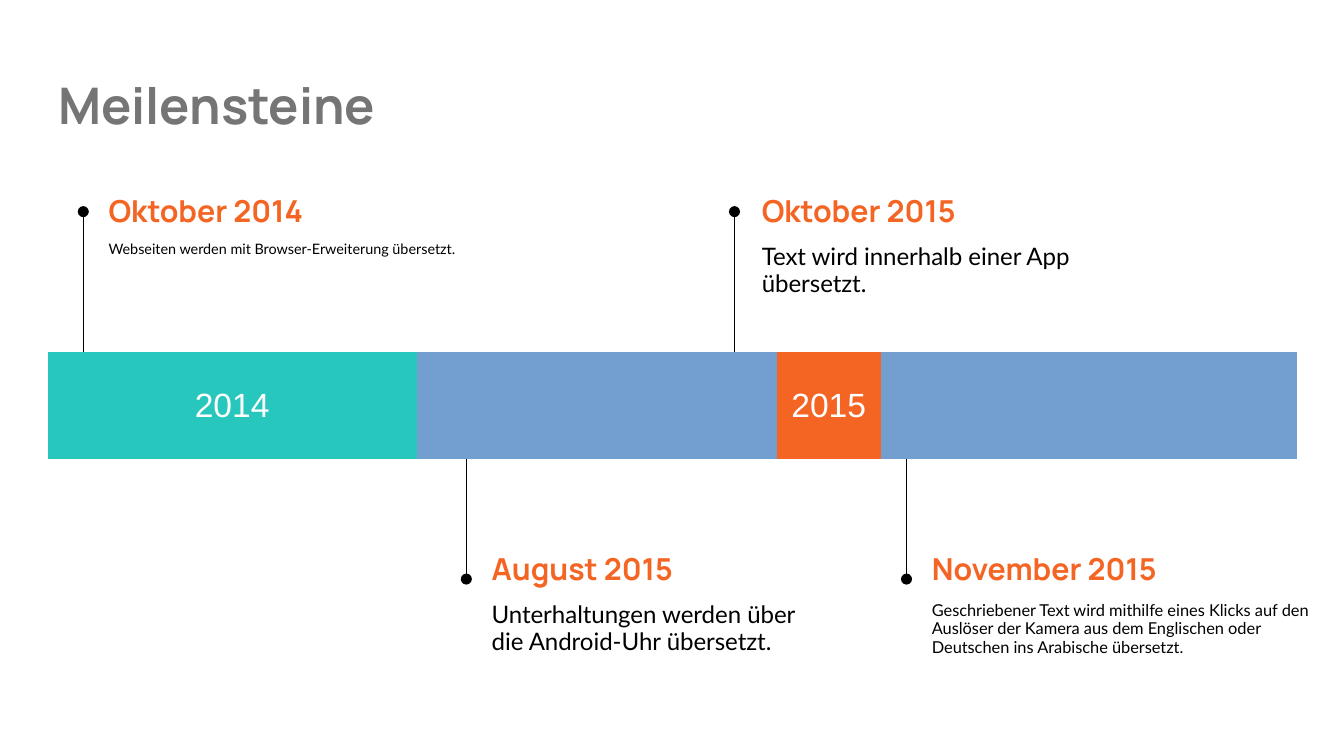
from dataclasses import dataclass
from typing import Any

from lxml.etree import SubElement
from pptx import Presentation
from pptx.dml.color import RGBColor as Rgb
from pptx.enum.shapes import MSO_CONNECTOR as Connector
from pptx.enum.text import MSO_ANCHOR as Anchor, PP_ALIGN as Align
from pptx.oxml.ns import qn
from pptx.util import Inches, Pt


@dataclass(frozen=True)
class Theme:
    gray: Rgb = Rgb.from_string("757575")
    teal: Rgb = Rgb.from_string("27C7BD")
    orange: Rgb = Rgb.from_string("F46524")
    black: Rgb = Rgb.from_string("000000")
    white: Rgb = Rgb.from_string("FFFFFF")
    heading_face: str = "Manrope"
    body_face: str = "Lato"
    year_face: str = "Arial"
    title_size: float = 27
    date_size: float = 16.2
    year_size: float = 18
    body_size: float = 12.9
    small_size: float = 8.8
    tiny_size: float = 7.7
    stem_width: float = 0.75


@dataclass(frozen=True)
class Year:
    label: str
    first: int
    last: int
    color: Rgb


@dataclass(frozen=True)
class Milestone:
    date: str
    event: str
    column: float
    above: bool
    width: float
    event_width: float
    size: float
    spacing: float = 0.95
    gap: float = 0.9


THEME = Theme()
GRID = 100
SLIDE_WIDTH = Inches(10)
SLIDE_HEIGHT = SLIDE_WIDTH * 9 // 16
BAR_LEFT, BAR_TOP, BAR_HEIGHT = 3.55, 46.6, 14.1
MONTH = 7.75
MONTHS = [MONTH] * 3 + [4.2, 11.3] + [MONTH] * 7
STEM_ABOVE, STEM_BELOW = 28, 76.6
DATE_ABOVE, DATE_BELOW = 24, 71.35
DATE_HEIGHT = 7.6
EVENT_DROP, EVENT_HEIGHT = 6.4, 11.2
NO_GRID_STYLE = "{2D5ABB26-0587-4C30-8999-92F81FD0307C}"

YEARS = [
    Year("2014", 0, 3, THEME.teal),
    Year("2015", 4, 11, THEME.orange),
]

MILESTONES = [
    Milestone("Oktober 2014", "Webseiten werden mit Browser-Erweiterung übersetzt.",
              6.2, True, 25.3, 31.6, THEME.tiny_size, 1.05),
    Milestone("August 2015", "Unterhaltungen werden über die Android-Uhr übersetzt.",
              34.7, False, 25.3, 25.3, THEME.body_size),
    Milestone("Oktober 2015", "Text wird innerhalb einer App übersetzt.",
              54.65, True, 25.7, 25.7, THEME.body_size, gap=1.05),
    Milestone("November 2015",
              "Geschriebener Text wird mithilfe eines Klicks auf den Auslöser der Kamera "
              "aus dem Englischen oder Deutschen ins Arabische übersetzt.",
              67.45, False, 25.7, 32.1, THEME.small_size),
]


def across(columns: float) -> int:
    return round(SLIDE_WIDTH * columns / GRID)


def down(rows: float) -> int:
    return round(SLIDE_HEIGHT * rows / GRID)


def apply(target: Any, values: dict[str, Any]) -> None:
    for key, value in values.items():
        setattr(target, key, value)


def set_font(font: Any, face: str, size: float, color: Rgb, bold: bool = False) -> None:
    apply(font, {"name": face, "size": Pt(size), "bold": bold})
    font.color.rgb = color


def margins() -> dict[str, int]:
    return {f"margin_{side}": Inches(0.1) for side in ("left", "top", "right", "bottom")}


def add_text(shapes: Any, text: str, left: float, top: float, width: float, height: float,
             face: str, size: float, color: Rgb, bold: bool = False,
             anchor: Any = Anchor.TOP, spacing: float = 1.0) -> None:
    frame = shapes.add_textbox(across(left), down(top), across(width), down(height)).text_frame
    apply(frame, {"word_wrap": True, "vertical_anchor": anchor, **margins()})
    paragraph = frame.paragraphs[0]
    paragraph.line_spacing = spacing
    run = paragraph.add_run()
    run.text = text
    set_font(run.font, face, size, color, bold)


def add_bar(shapes: Any, months: list[float], years: list[Year]) -> None:
    table = shapes.add_table(1, len(months), across(BAR_LEFT), down(BAR_TOP),
                             across(sum(months)), down(BAR_HEIGHT)).table
    apply(table, {"first_row": False, "horz_banding": False})
    table._tbl.tblPr.find(qn("a:tableStyleId")).text = NO_GRID_STYLE
    for column, width in zip(table.columns, months):
        column.width = across(width)
    for year in years:
        cell = table.cell(0, year.first)
        cell.merge(table.cell(0, year.last))
        apply(cell, {"vertical_anchor": Anchor.MIDDLE, **margins()})
        cell.fill.solid()
        cell.fill.fore_color.rgb = year.color
        paragraph = cell.text_frame.paragraphs[0]
        paragraph.alignment = Align.CENTER
        run = paragraph.add_run()
        run.text = year.label
        set_font(run.font, THEME.year_face, THEME.year_size, THEME.white)


def add_stem(shapes: Any, column: float, start: float, end: float) -> None:
    stem = shapes.add_connector(Connector.STRAIGHT, across(column), down(start),
                                across(column), down(end))
    stem.line.color.rgb = THEME.black
    stem.line.width = Pt(THEME.stem_width)
    properties = stem._element.spPr
    SubElement(properties.find(qn("a:ln")), qn("a:tailEnd"), type="oval")
    SubElement(properties, qn("a:effectLst"))


def add_milestone(shapes: Any, milestone: Milestone) -> None:
    if milestone.above:
        start, end, top = BAR_TOP, STEM_ABOVE, DATE_ABOVE
    else:
        start, end, top = BAR_TOP + BAR_HEIGHT, STEM_BELOW, DATE_BELOW
    left = milestone.column + milestone.gap
    add_stem(shapes, milestone.column, start, end)
    add_text(shapes, milestone.date, left, top, milestone.width, DATE_HEIGHT,
             THEME.heading_face, THEME.date_size, THEME.orange, True, Anchor.MIDDLE)
    add_text(shapes, milestone.event, left, top + EVENT_DROP, milestone.event_width,
             EVENT_HEIGHT, THEME.body_face, milestone.size, THEME.black,
             spacing=milestone.spacing)


def main() -> None:
    deck = Presentation()
    apply(deck, {"slide_width": SLIDE_WIDTH, "slide_height": SLIDE_HEIGHT})
    shapes = deck.slides.add_slide(deck.slide_layouts[6]).shapes
    add_text(shapes, "Meilensteine", 3.35, 8, 93.2, 12.4,
             THEME.heading_face, THEME.title_size, THEME.gray, True)
    add_bar(shapes, MONTHS, YEARS)
    for milestone in MILESTONES:
        add_milestone(shapes, milestone)
    deck.save("out.pptx")


if __name__ == "__main__":
    main()
